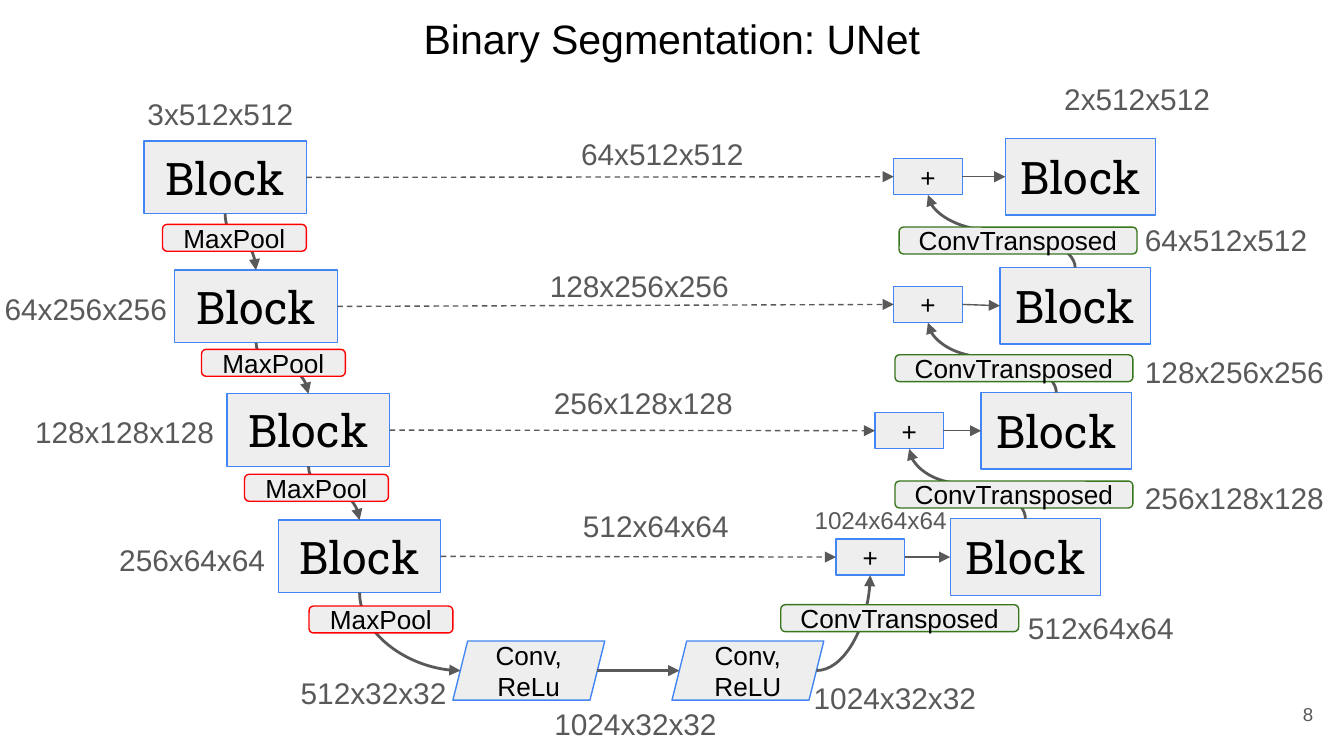
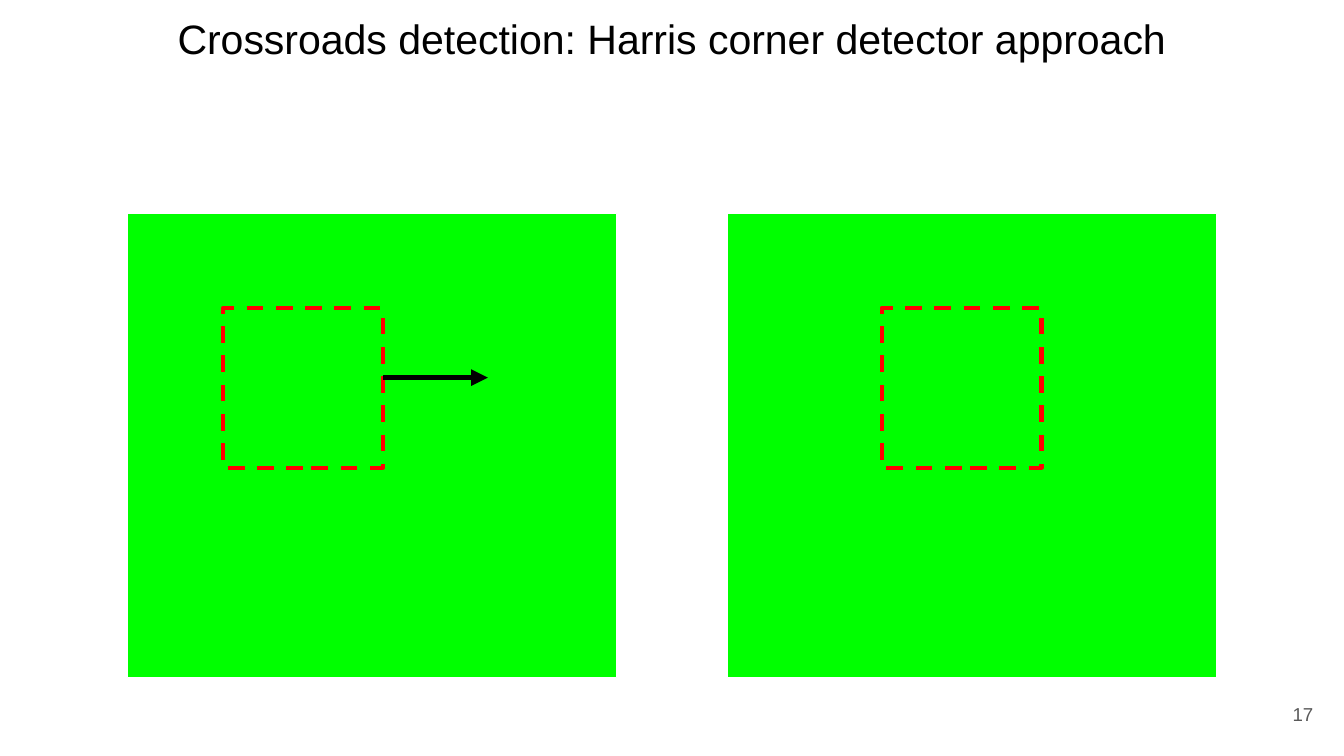
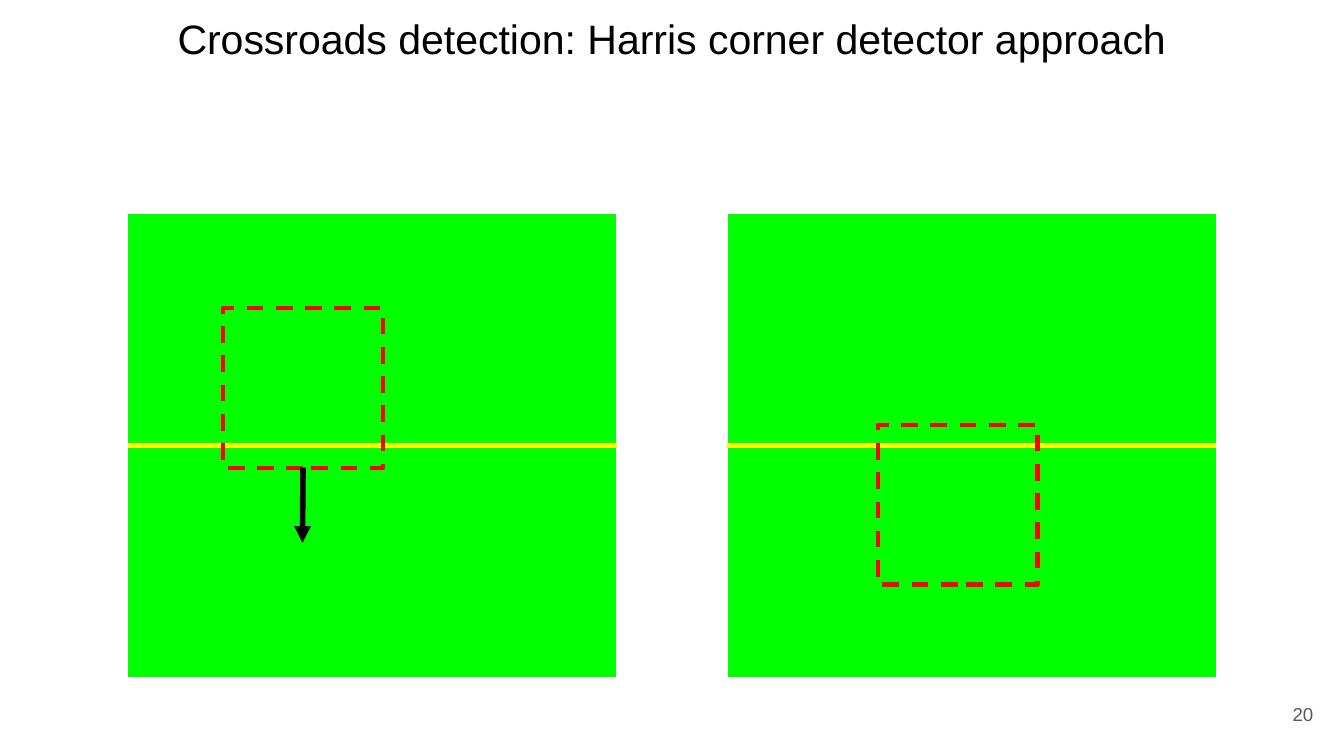
import lxml.etree
import pptx
import pptx.dml.color
import pptx.enum.dml
import pptx.enum.shapes
import pptx.enum.text
import pptx.oxml.ns
import pptx.util

SHAPE = pptx.enum.shapes.MSO_SHAPE
CONNECTOR = pptx.enum.shapes.MSO_CONNECTOR
ANCHOR = pptx.enum.text.MSO_ANCHOR
ALIGN = pptx.enum.text.PP_ALIGN
LEFT, CENTER, RIGHT = ALIGN.LEFT, ALIGN.CENTER, ALIGN.RIGHT
qn = pptx.oxml.ns.qn

WIDTH = pptx.util.Inches(10)
HEIGHT = WIDTH * 9 // 16
COLUMNS = 100
CELL = WIDTH // COLUMNS

BLACK, WHITE, GRAY, PALE = "000000", "FFFFFF", "595959", "EEEEEE"
BLUE, RED, GREEN = "4285F4", "FF0000", "38761D"
GRASS, ROAD = "00FF00", "FFFF00"
SLANT = 0.25


def rgb(value):
    return pptx.dml.color.RGBColor.from_string(value)


def grid(*values):
    return [int(v * CELL) for v in values]


def within(box, x, y, *size):
    return (box[0] + x, box[1] + y, *size)


def write(sp, text, size, color, align, anchor, font="Arial"):
    tf = sp.text_frame
    tf.word_wrap = True
    tf.vertical_anchor = anchor
    tf.margin_left = tf.margin_right = tf.margin_top = tf.margin_bottom = CELL
    p = tf.paragraphs[0]
    p.text = text
    p.alignment = align
    p.font.name = font
    p.font.size = pptx.util.Pt(size)
    p.font.color.rgb = rgb(color)


def add_text(s, box, text, size=16, color=GRAY, align=LEFT, anchor=ANCHOR.TOP):
    sp = s.shapes.add_textbox(*grid(*box))
    write(sp, text, size, color, align, anchor)


def add_box(s, kind, box, fill, line, width=0.75, dashed=False):
    sp = s.shapes.add_shape(kind, *grid(*box))
    sp.shadow.inherit = False
    if fill:
        sp.fill.solid()
        sp.fill.fore_color.rgb = rgb(fill)
    else:
        sp.fill.background()
    style_line(sp.line, line, width, dashed)
    return sp


def add_node(s, kind, box, text, line=BLUE, size=14, font="Arial"):
    sp = add_box(s, kind, box, PALE, line)
    write(sp, text, size, BLACK, CENTER, ANCHOR.MIDDLE, font)
    return sp


def add_block(s, box):
    return add_node(s, SHAPE.RECTANGLE, box, "Block", size=24, font="Roboto Slab")


def style_line(line, color, width, dashed):
    line.color.rgb = rgb(color)
    line.width = pptx.util.Pt(width)
    if dashed:
        line.dash_style = pptx.enum.dml.MSO_LINE.DASH


def add_line(s, start, end, color=GRAY, width=0.75, dashed=False, arrow=True, kind=CONNECTOR.STRAIGHT):
    cxn = s.shapes.add_connector(kind, *map(int, (*start, *end)))
    style_line(cxn.line, color, width, dashed)
    if arrow:
        ln = cxn._element.spPr.find(qn("a:ln"))
        lxml.etree.SubElement(ln, qn("a:tailEnd"), type="triangle")
    lxml.etree.SubElement(cxn._element.spPr, qn("a:effectLst"))
    return cxn


def join(s, first, second, dashed=False):
    cxn = add_line(s, side(first, 3), side(second, 1), dashed=dashed)
    cxn.begin_connect(first, 3)
    cxn.end_connect(second, 1)


def side(sp, index, inset=0):
    x, y = sp.left + sp.width / 2, sp.top + sp.height / 2
    return [(x, sp.top), (sp.left + inset, y), (x, sp.top + sp.height),
            (sp.left + sp.width - inset, y)][index]


def slant_side(sp, index):
    return side(sp, index, sp.height * SLANT / 2)


def add_curve(s, start, end, preset="curvedConnector3", upright=True):
    if not upright:
        cxn = add_line(s, start, end, width=1.5, kind=CONNECTOR.CURVE)
    else:
        x, y = (start[0] + end[0]) / 2, (start[1] + end[1]) / 2
        dx, dy = abs(end[1] - start[1]) / 2, abs(end[0] - start[0]) / 2
        cxn = add_line(s, (x - dx, y - dy), (x + dx, y + dy), width=1.5, kind=CONNECTOR.CURVE)
        xfrm = cxn._element.spPr.find(qn("a:xfrm"))
        xfrm.set("rot", str((270 if end[1] > start[1] else 90) * 60000))
        xfrm.set("flipH", "1")
    cxn._element.spPr.find(qn("a:prstGeom")).set("prst", preset)


def add_slide(prs, title, title_width, number):
    s = prs.slides.add_slide(prs.slide_layouts[6])
    s.background.fill.solid()
    s.background.fill.fore_color.rgb = rgb(WHITE)
    box = ((COLUMNS - title_width) / 2, 0, title_width, 5.7)
    add_text(s, box, title, 22, BLACK, CENTER)
    add_text(s, (92.7, 51, 6, 4.3), str(number), 10, align=RIGHT, anchor=ANCHOR.MIDDLE)
    return s


def bottleneck(s, box):
    convs = []
    for x, text in [(15.7, "Conv, ReLu"), (32, "Conv, ReLU")]:
        sp = add_node(s, SHAPE.PARALLELOGRAM, within(box, x, 2.7, 11.3, 4.4), text)
        sp.adjustments[0] = SLANT
        convs.append(sp)
    first, second = convs
    add_curve(s, slant_side(first, 3), slant_side(second, 1), upright=False)
    for x, y, w, text in [(0.8, 4.2, 15.4, "512x32x32"), (20.9, 6.5, 15.4, "1024x32x32"),
                          (41.1, 4.6, 14.5, "1024x32x32")]:
        add_text(s, within(box, x, y, w, 4.7), text, align=RIGHT)
    return convs


def encoder(s, box, conv):
    levels = [(10.7, 5.5), (13, 15.1), (16.9, 24.3), (20.7, 33.7)]
    pools = [(12.1, 11.7), (15, 21), (18.2, 30.3), (23, 40.1)]
    labels = [(7.4, 1.1, 15.4, "3x512x512"), (-1.1, 15.6, 14.5, "64x256x256"),
              (1.5, 24.8, 15.4, "128x128x128"), (5.3, 34.3, 15.4, "256x64x64")]
    blocks = [add_block(s, within(box, x, y, 12.1, 5.4)) for x, y in levels]
    for upper, lower in zip(blocks, blocks[1:]):
        add_curve(s, side(upper, 2), side(lower, 0))
    add_curve(s, side(blocks[-1], 2), slant_side(conv, 1), "curvedConnector2")
    for x, y in pools:
        add_node(s, SHAPE.ROUNDED_RECTANGLE, within(box, x, y, 10.7, 2), "MaxPool", RED)
    for x, y, w, text in labels:
        add_text(s, within(box, x, y, w, 4.7), text, align=RIGHT)
    return blocks


def decoder(s, box, conv):
    sums = [(8.5, 6.8), (8.5, 16.3), (7.1, 25.7), (4.2, 35.1)]
    levels = [(16.8, 5.3), (16.4, 14.9), (15, 24.2), (12.7, 33.6)]
    upscales = [(8.9, 11.9), (8.6, 21.4), (8.6, 30.8), (0.1, 40)]
    labels = [(20.2, 0, 15.4, "2x512x512"), (26.2, 10.5, 15.4, "64x512x512"),
              (26.2, 20.3, 16.9, "128x256x256"), (26.2, 29.7, 16.9, "256x128x128"),
              (17.5, 39.4, 15.4, "512x64x64")]
    pluses = [add_node(s, SHAPE.RECTANGLE, within(box, x, y, 5.1, 2.7), "+") for x, y in sums]
    blocks = [add_block(s, within(box, x, y, 11.2, 5.7)) for x, y in levels]
    for plus, block in zip(pluses, blocks):
        join(s, plus, block)
    for plus, block in zip(pluses, blocks[1:]):
        add_curve(s, side(block, 0), side(plus, 2))
    add_curve(s, slant_side(conv, 3), side(pluses[-1], 2), "curvedConnector2", upright=False)
    for x, y in upscales:
        add_node(s, SHAPE.ROUNDED_RECTANGLE, within(box, x, y, 17.7, 2), "ConvTransposed", GREEN)
    for x, y, w, text in labels:
        add_text(s, within(box, x, y, w, 4.7), text)
    add_text(s, within(box, 0.1, 31.6, 13.3, 4.2), "1024x64x64", 13, align=RIGHT)
    return pluses


def skips(s, box, blocks, pluses):
    for block, plus in zip(blocks, pluses):
        join(s, block, plus, dashed=True)
    for x, y, w, text in [(0.6, 4.1, 17.7, "64x512x512"), (1.8, 13.9, 15.4, "128x256x256"),
                          (2.1, 22.6, 15.4, "256x128x128"), (1.8, 31.8, 15.4, "512x64x64")]:
        add_text(s, within(box, x, y, w, 4.7), text, align=RIGHT)


def unet_slide(prs):
    s = add_slide(prs, "Binary Segmentation: UNet", 41.4, 8)
    first, second = bottleneck(s, (18, 45))
    blocks = encoder(s, (0, 5), first)
    pluses = decoder(s, (58, 5), second)
    skips(s, (38, 5), blocks, pluses)


def field(s, box, window, road, arrow=None, joint=None):
    x, y, w, h = box
    add_box(s, SHAPE.RECTANGLE, box, GRASS, WHITE)
    if road:
        middle = y + h / 2
        add_line(s, grid(x, middle), grid(x + w, middle), ROAD, 3, arrow=False)
    frame = add_box(s, SHAPE.RECTANGLE, within(box, *window, 11.9, 11.9), None, RED, 2.25, True)
    if arrow:
        start, end = arrow
        cxn = add_line(s, grid(*within(box, *start)), grid(*within(box, *end)), BLACK, 3)
        if joint is not None:
            cxn.begin_connect(frame, joint)


def harris_slide(prs, number, arrow, moved, road=False, joint=None):
    s = add_slide(prs, "Crossroads detection: Harris corner detector approach", 81, number)
    before, after = [(x, 15.9, 36.4, 34.5) for x in (9.5, 54.1)]
    field(s, before, (7.1, 7), road, arrow, joint)
    field(s, after, moved, road)


def main():
    prs = pptx.Presentation()
    prs.slide_width, prs.slide_height = WIDTH, HEIGHT
    unet_slide(prs)
    harris_slide(prs, 17, ((19, 12.2), (26.8, 12.2)), (11.5, 7))
    harris_slide(prs, 20, ((13, 18.9), (13, 24.5)), (11.2, 15.7), road=True, joint=2)
    prs.save("out.pptx")


if __name__ == "__main__":
    main()
